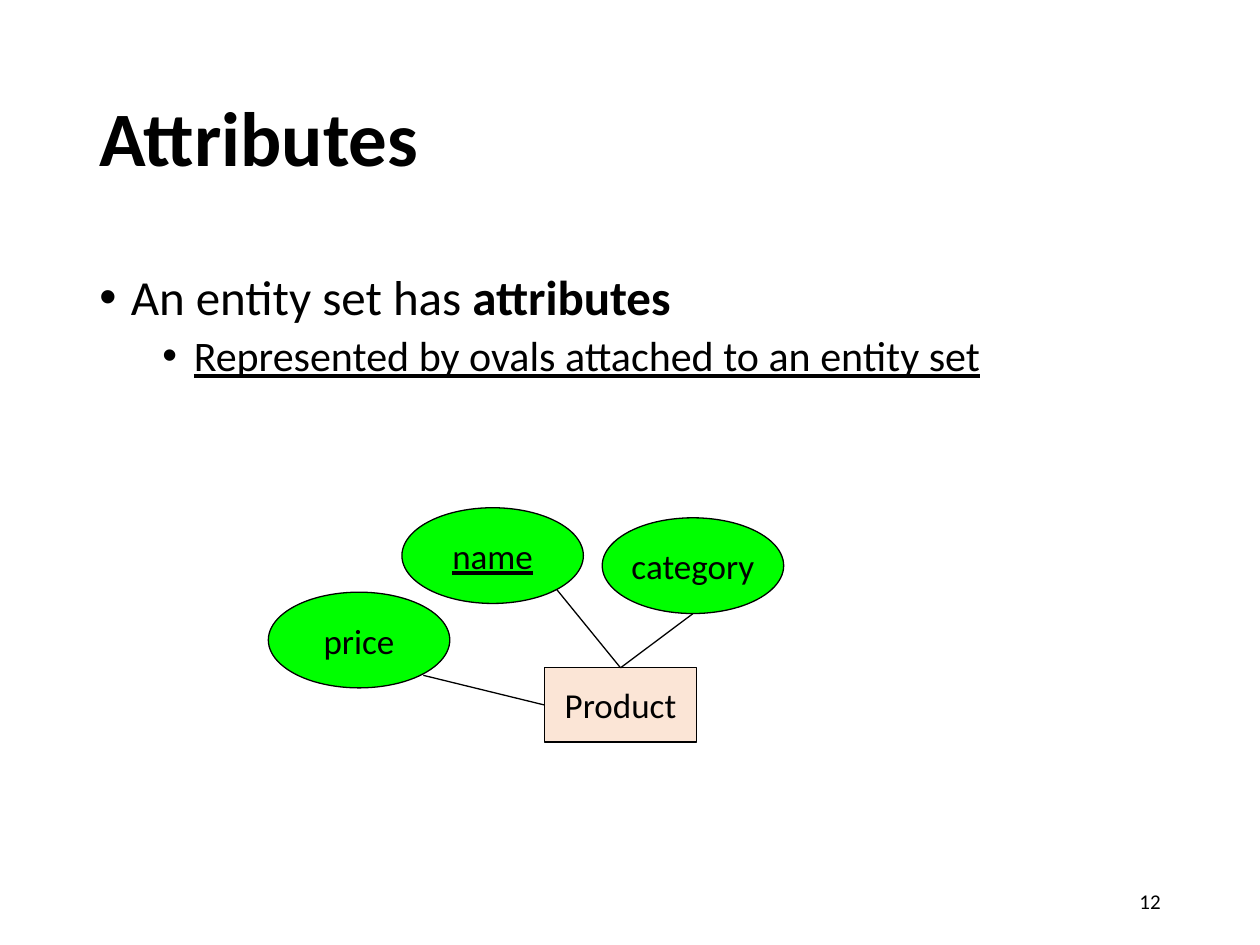
"""Build a slide on the attributes of an entity set."""
from lxml import etree
from pptx import Presentation
from pptx.dml.color import RGBColor
from pptx.enum.shapes import MSO_CONNECTOR, MSO_SHAPE
from pptx.enum.text import MSO_ANCHOR, PP_ALIGN
from pptx.oxml.ns import qn
from pptx.util import Inches, Pt

BLACK = RGBColor(0x00, 0x00, 0x00)
GREEN = RGBColor(0x00, 0xFF, 0x00)
PEACH = RGBColor(0xFB, 0xE5, 0xD6)
STRAIGHT = MSO_CONNECTOR.STRAIGHT
RECTANGLE, OVAL = MSO_SHAPE.RECTANGLE, MSO_SHAPE.OVAL
TOP, MIDDLE = MSO_ANCHOR.TOP, MSO_ANCHOR.MIDDLE
LEFT, CENTER, RIGHT = PP_ALIGN.LEFT, PP_ALIGN.CENTER, PP_ALIGN.RIGHT
TOP_SIDE, LEFT_SIDE = 0, 1
OVAL_SIZE = (1.44, 0.76)


def add_text(paragraph, text, size, bold=False, underline=False):
    run = paragraph.add_run()
    run.text = text
    font = run.font
    font.name = "Calibri"
    font.size = Pt(size)
    font.bold = bold
    font.underline = underline
    font.color.rgb = BLACK


class SlideBuilder:
    def __init__(self, slide, line_width=0.75):
        self.slide = slide
        self.line_width = Pt(line_width)

    def title(self, text, left, top, width, height):
        shape = self.slide.shapes.title
        shape.left, shape.top = Inches(left), Inches(top)
        shape.width, shape.height = Inches(width), Inches(height)
        shape.text_frame.vertical_anchor = MIDDLE
        paragraph = shape.text_frame.paragraphs[0]
        paragraph.alignment = LEFT
        paragraph.line_spacing = 0.9
        add_text(paragraph, text, 44, bold=True)

    def text_box(self, left, top, width, height, anchor=TOP):
        box = self.slide.shapes.add_textbox(
            Inches(left), Inches(top), Inches(width), Inches(height))
        box.text_frame.word_wrap = True
        box.text_frame.vertical_anchor = anchor
        return box.text_frame

    def bullet(self, paragraph, indent, space_before=0):
        paragraph.line_spacing = 0.9
        paragraph.space_before = Pt(space_before)
        properties = paragraph._p.get_or_add_pPr()
        properties.set("marL", str(Inches(indent)))
        properties.set("indent", str(Inches(-0.25)))
        etree.SubElement(properties, qn("a:buFont"), typeface="Arial")
        etree.SubElement(properties, qn("a:buChar"), char="•")

    def node(self, kind, text, left, top, width, height, fill, underline=False):
        shape = self.slide.shapes.add_shape(
            kind, Inches(left), Inches(top), Inches(width), Inches(height))
        shape.shadow.inherit = False
        shape.fill.solid()
        shape.fill.fore_color.rgb = fill
        shape.line.color.rgb = BLACK
        shape.line.width = self.line_width
        shape.text_frame.word_wrap = False
        shape.text_frame.vertical_anchor = MIDDLE
        paragraph = shape.text_frame.paragraphs[0]
        paragraph.alignment = CENTER
        add_text(paragraph, text, 20, underline=underline)
        return shape

    def link(self, left, top, target, side):
        start = Inches(left), Inches(top)
        connector = self.slide.shapes.add_connector(STRAIGHT, *start, *start)
        connector.end_connect(target, side)
        connector.line.color.rgb = BLACK
        connector.line.width = self.line_width
        etree.SubElement(connector._element.spPr, qn("a:effectLst"))


def main():
    presentation = Presentation()
    presentation.slide_width = Inches(10)
    presentation.slide_height = Inches(7.5)
    slide = presentation.slides.add_slide(presentation.slide_layouts[5])
    builder = SlideBuilder(slide)

    builder.title("Attributes", 0.69, 0.4, 8.62, 1.45)

    body = builder.text_box(0.69, 2.12, 8.7, 3.51)
    statement = body.paragraphs[0]
    builder.bullet(statement, 0.25)
    add_text(statement, "An entity set has ", 28)
    add_text(statement, "attributes", 28, bold=True)
    detail = body.add_paragraph()
    detail.level = 1
    builder.bullet(detail, 0.75, space_before=5)
    add_text(detail, "Represented by ovals attached to an entity set", 24,
             underline=True)

    number = builder.text_box(7.06, 6.95, 2.25, 0.4, MIDDLE).paragraphs[0]
    number.alignment = RIGHT
    add_text(number, "12", 12)

    product = builder.node(RECTANGLE, "Product", 4.32, 5.3, 1.21, 0.59, PEACH)
    attributes = [
        ("name", (3.19, 4.03), True, (4.42, 4.68), TOP_SIDE),
        ("category", (4.78, 4.11), False, (5.5, 4.87), TOP_SIDE),
        ("price", (2.13, 4.7), False, (3.36, 5.36), LEFT_SIDE),
    ]
    for text, position, is_key, start, side in attributes:
        builder.node(OVAL, text, *position, *OVAL_SIZE, GREEN, underline=is_key)
        builder.link(*start, product, side)

    presentation.save("out.pptx")


if __name__ == "__main__":
    main()
